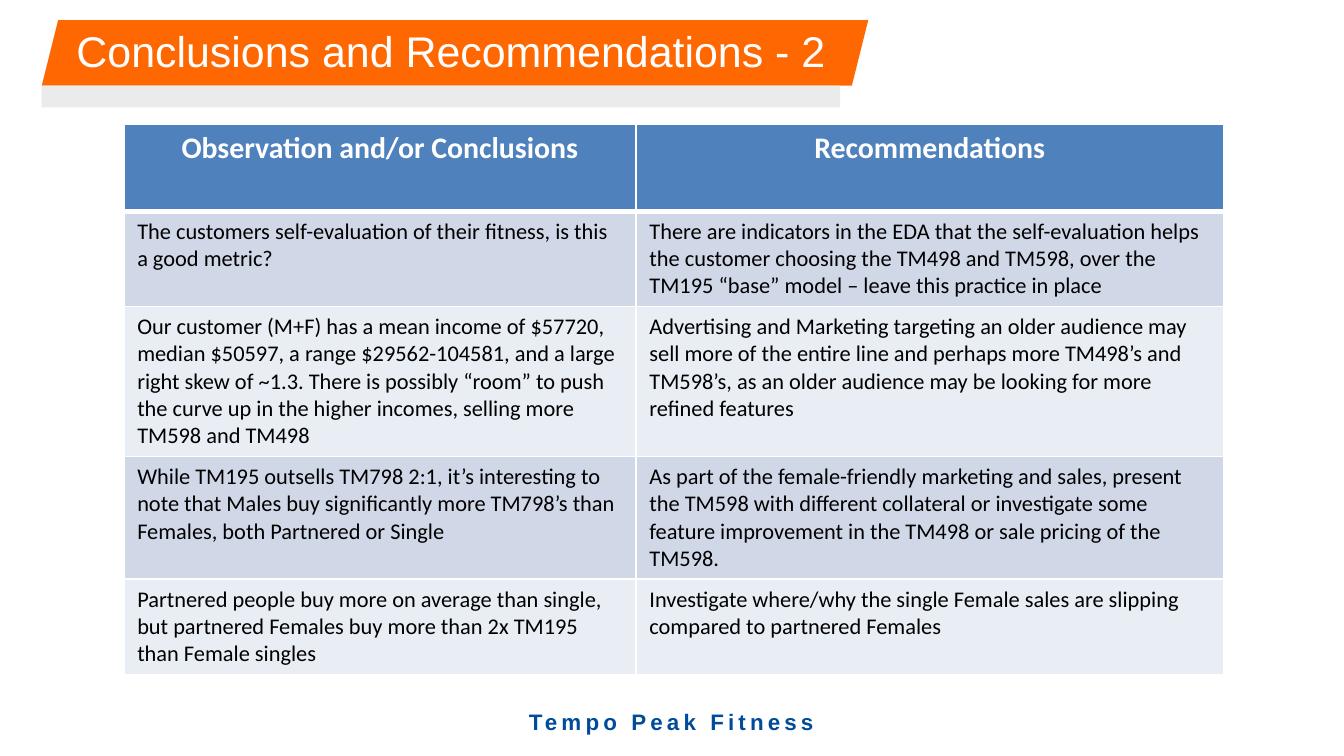
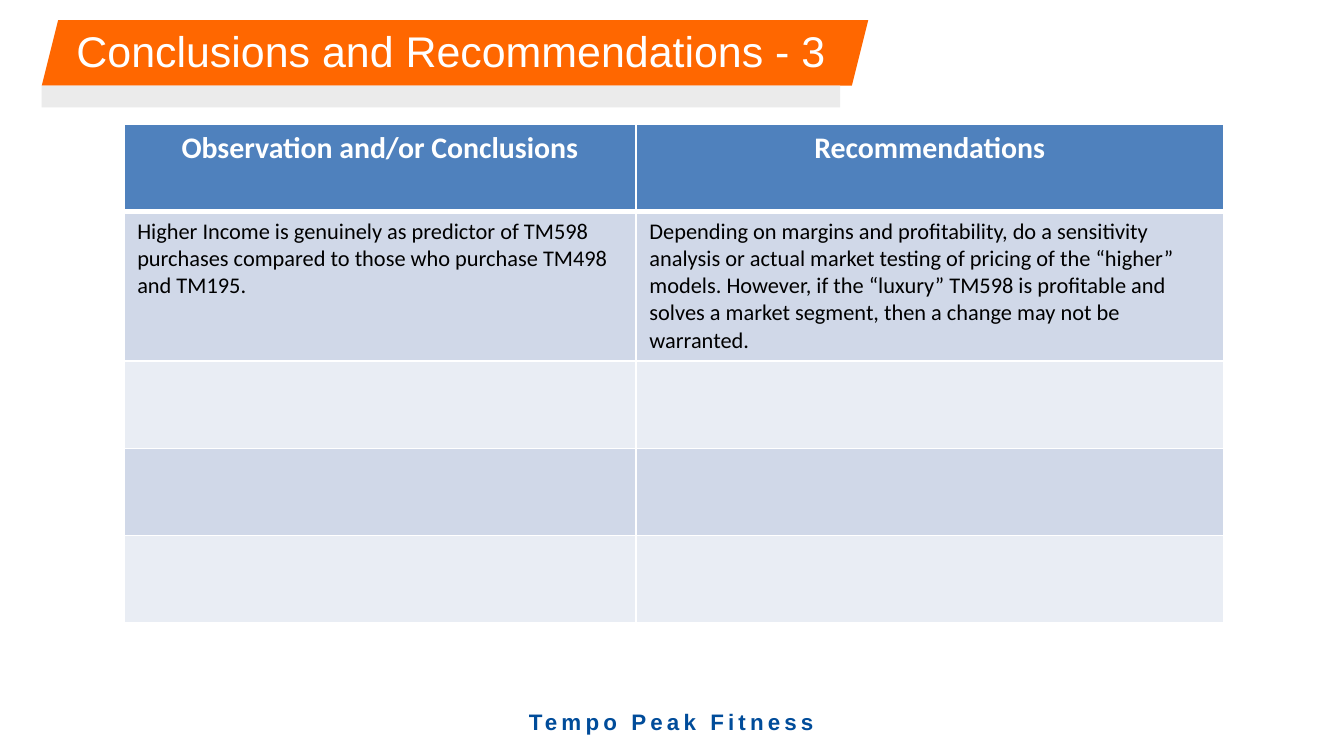
from lxml.etree import SubElement
from pptx import Presentation
from pptx.dml.color import RGBColor
from pptx.enum.shapes import MSO_SHAPE
from pptx.enum.text import MSO_ANCHOR, MSO_AUTO_SIZE, PP_ALIGN
from pptx.oxml.ns import qn
from pptx.util import Cm, Pt

ORANGE = RGBColor(0xFF, 0x67, 0x00)
GREY = RGBColor(0xEB, 0xEB, 0xEB)
NAVY = RGBColor(0x00, 0x4C, 0x9A)
BLUE = RGBColor(0x4F, 0x81, 0xBD)
BANDS = RGBColor(0xD0, 0xD8, 0xE8), RGBColor(0xE9, 0xED, 0xF4)
WHITE = RGBColor(0xFF, 0xFF, 0xFF)
BLACK = RGBColor(0x00, 0x00, 0x00)

FOOTER = "Tempo Peak Fitness"
HEADS = "Observation and/or Conclusions", "Recommendations"
WIDTHS = Cm(9.68), Cm(11.1)
ROW = Cm(1.65)
EMPTY = "", ""

PAGES = [
    ("Conclusions and Recommendations - 2", [
        ("The customers self-evaluation of their fitness, is this a good metric?",
         "There are indicators in the EDA that the self-evaluation helps the "
         "customer choosing the TM498 and TM598, over the TM195 “base” model – "
         "leave this practice in place"),
        ("Our customer (M+F) has a mean income of $57720, median $50597, a range "
         "$29562-104581, and a large right skew of ~1.3. There is possibly “room” "
         "to push the curve up in the higher incomes, selling more TM598 and TM498",
         "Advertising and Marketing targeting an older audience may sell more of "
         "the entire line and perhaps more TM498’s and TM598’s, as an older "
         "audience may be looking for more refined features"),
        ("While TM195 outsells TM798 2:1, it’s interesting to note that Males buy "
         "significantly more TM798’s than Females, both Partnered or Single",
         "As part of the female-friendly marketing and sales, present the TM598 "
         "with different collateral or investigate some feature improvement in "
         "the TM498 or sale pricing of the TM598."),
        ("Partnered people buy more on average than single, but partnered Females "
         "buy more than 2x TM195 than Female singles",
         "Investigate where/why the single Female sales are slipping compared to "
         "partnered Females"),
    ]),
    ("Conclusions and Recommendations - 3", [
        ("Higher Income is genuinely as predictor of TM598 purchases compared to "
         "those who purchase TM498 and TM195.",
         "Depending on margins and profitability, do a sensitivity analysis or "
         "actual market testing of pricing of the “higher” models. However, if the "
         "“luxury” TM598 is profitable and solves a market segment, then a change "
         "may not be warranted."),
        EMPTY, EMPTY, EMPTY,
    ]),
]


def style(frame, font, size, color, bold=False, align=PP_ALIGN.LEFT):
    for para in frame.paragraphs:
        para.alignment = align
        for run in para.runs:
            run.font.name = font
            run.font.size = Pt(size)
            run.font.bold = bold
            run.font.color.rgb = color


def add_band(slide, kind, box, color):
    band = slide.shapes.add_shape(kind, *box)
    band.shadow.inherit = False
    band.fill.solid()
    band.fill.fore_color.rgb = color
    band.line.fill.background()


def add_title(slide, text):
    add_band(slide, MSO_SHAPE.PARALLELOGRAM,
             (Cm(0.79), Cm(0.38), Cm(15.62), Cm(1.24)), ORANGE)
    add_band(slide, MSO_SHAPE.RECTANGLE,
             (Cm(0.79), Cm(1.62), Cm(15.09), Cm(0.41)), GREY)
    title = slide.shapes.title
    title.left, title.top = Cm(1.19), Cm(-0.43)
    title.width, title.height = Cm(21.89), Cm(2.77)
    frame = title.text_frame
    frame.text = text
    frame.auto_size = MSO_AUTO_SIZE.NONE
    frame.vertical_anchor = MSO_ANCHOR.MIDDLE
    style(frame, "Arial", 23, WHITE)
    # Bring the title in front of its bands
    title.element.getparent().append(title.element)


def add_footer(slide):
    box = slide.shapes.add_textbox(Cm(9.63), Cm(13.28), Cm(6.12), Cm(0.71))
    frame = box.text_frame
    frame.text = FOOTER
    frame.word_wrap = False
    frame.auto_size = MSO_AUTO_SIZE.SHAPE_TO_FIT_TEXT
    frame.margin_left = frame.margin_right = Cm(0.18)
    frame.margin_top = frame.margin_bottom = Cm(0.1)
    style(frame, "Arial", 12, NAVY, True, PP_ALIGN.CENTER)
    for props in box.element.iter(qn("a:rPr")):
        props.set("spc", "220")


def add_edges(cell, top, bottom):
    """Draw white borders; top and bottom are widths in points."""
    props = cell._tc.get_or_add_tcPr()
    for side, width in (("L", 1), ("R", 1), ("T", top), ("B", bottom)):
        line = SubElement(props, qn(f"a:ln{side}"), w=str(Pt(width)))
        fill = SubElement(line, qn("a:solidFill"))
        SubElement(fill, qn("a:srgbClr"), val=str(WHITE))


def add_grid(slide, rows):
    lines = [HEADS, *rows]
    grid = slide.shapes.add_table(len(lines), len(HEADS), Cm(2.34), Cm(2.34),
                                  sum(WIDTHS), ROW * len(lines)).table
    for col, width in zip(grid.columns, WIDTHS):
        col.width = width
    for r, line in enumerate(lines):
        grid.rows[r].height = ROW
        for c, text in enumerate(line):
            cell = grid.cell(r, c)
            add_edges(cell, 3 if r == 1 else 1, 3 if r == 0 else 1)
            cell.fill.solid()
            cell.fill.fore_color.rgb = BANDS[(r - 1) % 2] if r else BLUE
            cell.text_frame.text = text
            if r:
                style(cell.text_frame, "Calibri", 12, BLACK)
            else:
                style(cell.text_frame, "Calibri", 16, WHITE, True,
                      PP_ALIGN.CENTER)


def main():
    deck = Presentation()
    deck.slide_width, deck.slide_height = Cm(25.4), Cm(14.29)
    for title, rows in PAGES:
        slide = deck.slides.add_slide(deck.slide_layouts[5])
        add_title(slide, title)
        add_grid(slide, rows)
        add_footer(slide)
    deck.save("out.pptx")


if __name__ == "__main__":
    main()
